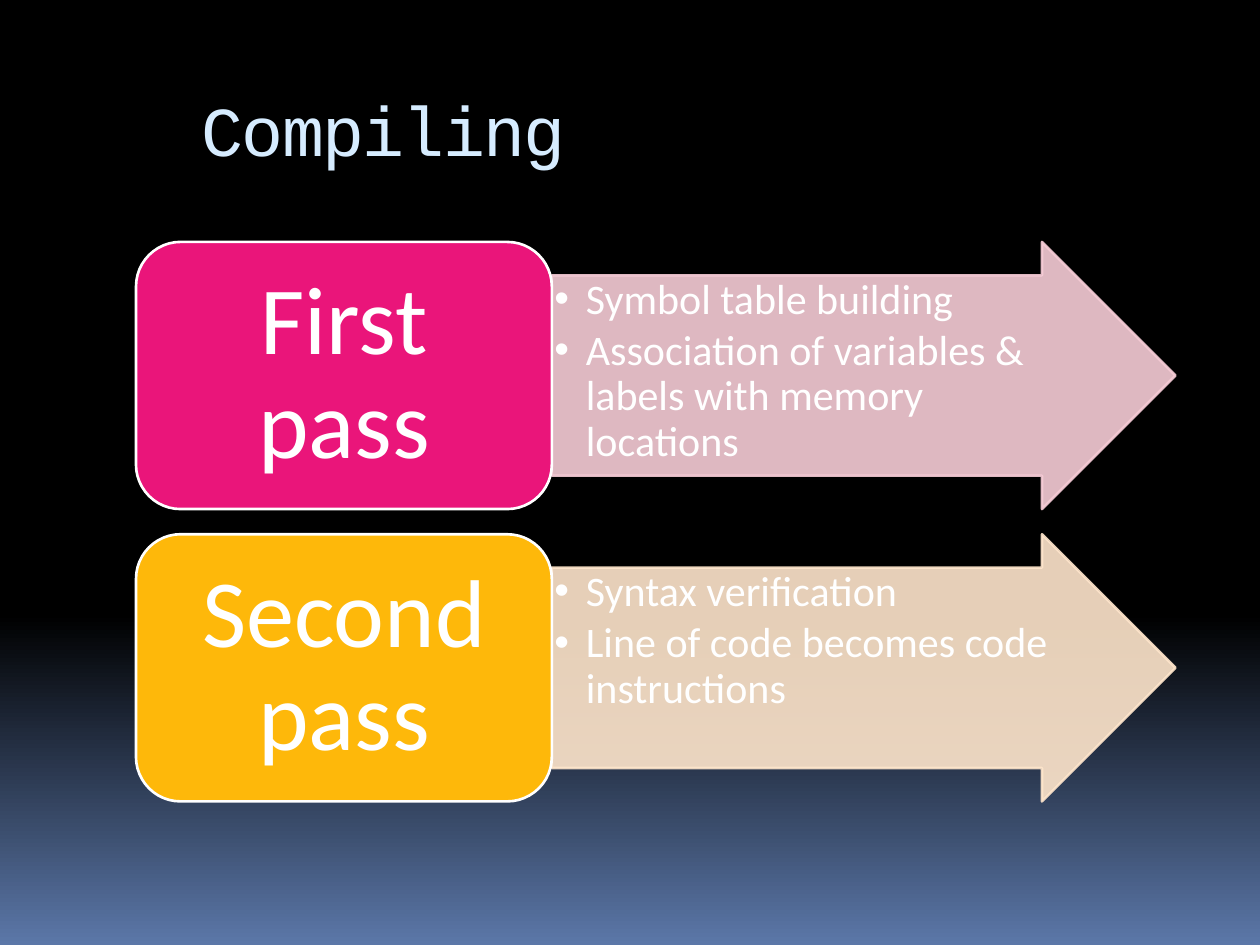
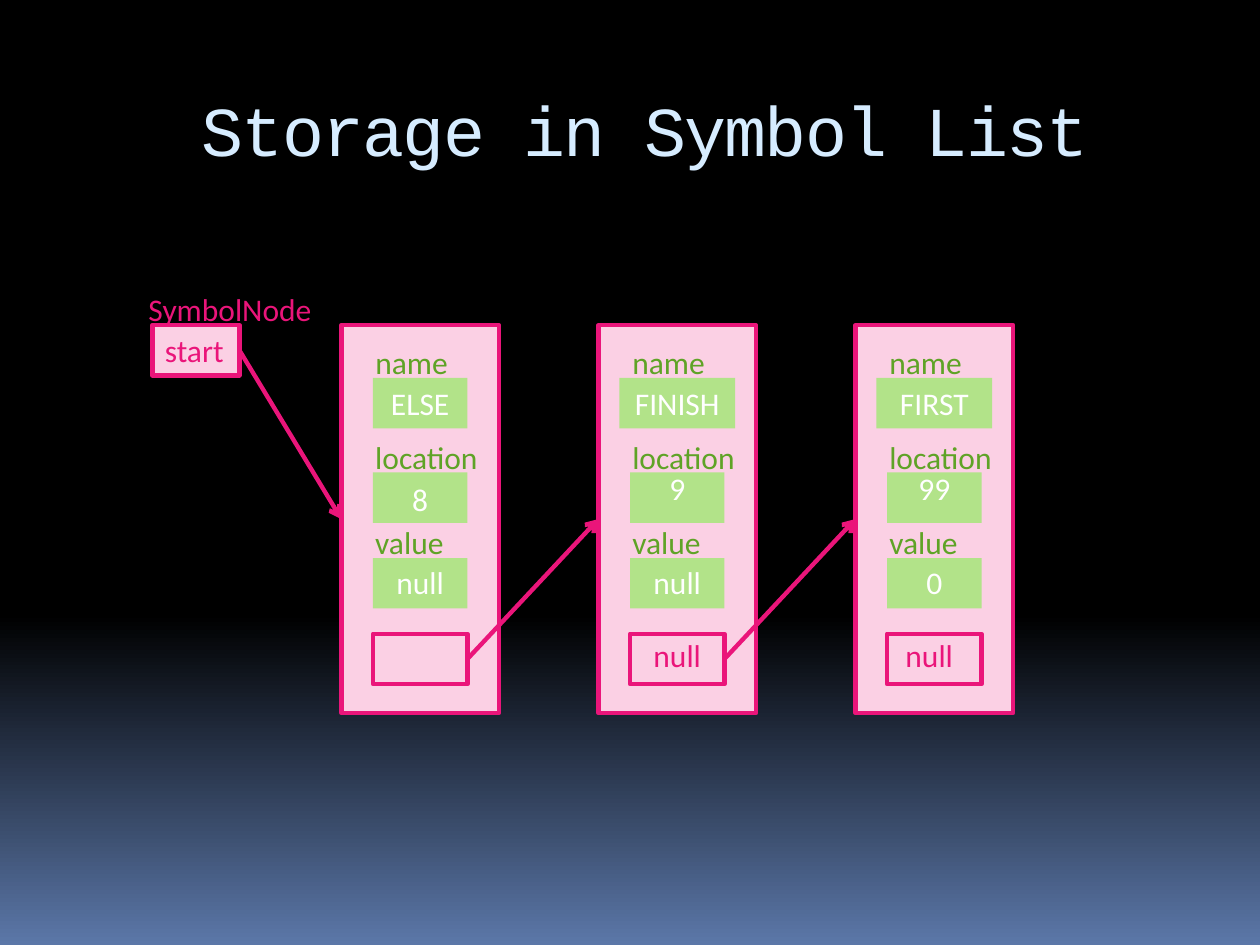
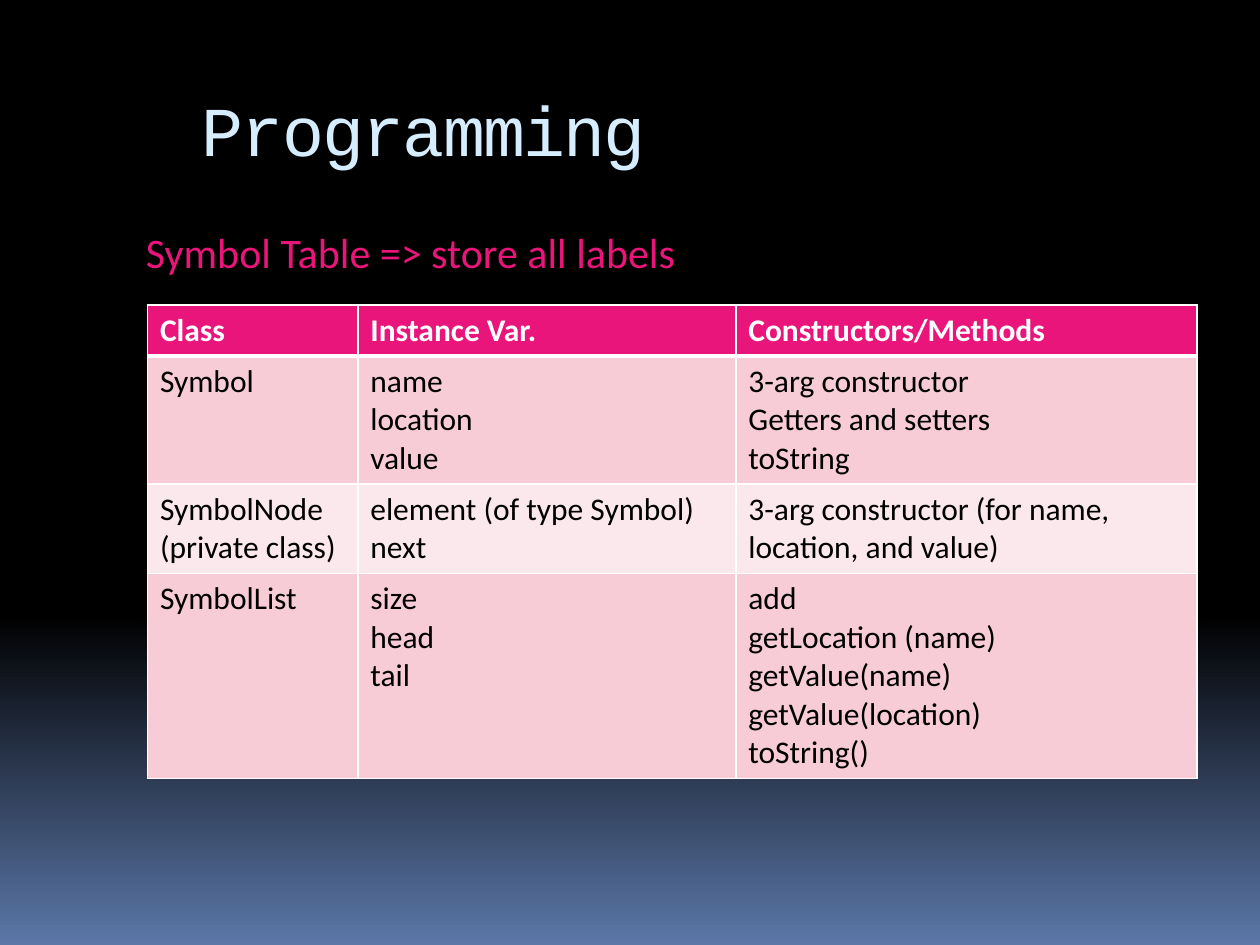
"""Build three slides on compiling: passes, a linked symbol list and its classes."""
from copy import deepcopy
from dataclasses import dataclass

from lxml.etree import SubElement
from pptx import Presentation
from pptx.dml.color import RGBColor
from pptx.enum.shapes import MSO_CONNECTOR as Line, MSO_SHAPE as Shape
from pptx.enum.text import MSO_ANCHOR as Anchor, MSO_AUTO_SIZE as Fit, PP_ALIGN as Align
from pptx.oxml.ns import qn
from pptx.util import Inches, Pt


@dataclass(frozen=True)
class Theme:
    """Colours, fonts and type sizes shared by the slides."""
    black: str = "000000"
    white: str = "FFFFFF"
    dusk: str = "5B77A8"
    sky: str = "D6ECFF"
    pink: str = "EA157A"
    amber: str = "FEB80A"
    rose: str = "F7CCD7"
    blush: str = "FBE8EC"
    peach: str = "FFE6CC"
    petal: str = "FBD0E4"
    lime: str = "B2E389"
    leaf: str = "5FA326"
    title_font: str = "Courier New"
    font: str = "Calibri"
    title: int = 40
    stage: int = 55
    lead: int = 24
    body: int = 18


THEME = Theme()

PASSES = [
    ("First pass", THEME.pink, THEME.rose,
     ["Symbol table building", "Association of variables & labels with memory locations"]),
    ("Second pass", THEME.amber, THEME.peach,
     ["Syntax verification", "Line of code becomes code instructions"]),
]
PASS_LEFT, PASS_TOP, PASS_PITCH, PASS_HEIGHT = 1.08, 1.92, 2.32, 2.12
STAGE_WIDTH, ARROW_WIDTH = 3.3, 4.95

NODES = [
    {"name": "ELSE", "location": "8", "value": "null", "name_width": 0.75},
    {"name": "FINISH", "location": "9", "value": "null", "link": "null",
     "name_width": 0.92, "lift": 0.09},
    {"name": "FIRST", "location": "99", "value": "0", "link": "null",
     "name_width": 0.92, "lift": 0.09, "link_shift": -0.04},
]
FIELDS = [
    ("name", 2.67, 0.79, 3.0, 3.0),
    ("location", 3.43, 1.04, 3.75, 3.76),
    ("value", 4.1, 0.76, 4.43, 4.42),
]
NODE_LEFT, NODE_TOP, NODE_PITCH = 2.71, 2.58, 2.04
NODE_WIDTH, NODE_HEIGHT = 1.25, 3.08
CELL_WIDTH, CELL_HEIGHT, LINK_TOP = 0.75, 0.4, 5.03

CLASSES = [
    (["Class"], ["Instance Var."], ["Constructors/Methods"]),
    (["Symbol"], ["name", "location", "value"],
     ["3-arg constructor", "Getters and setters", "toString"]),
    (["SymbolNode", "(private class)"], ["element (of type Symbol)", "next"],
     ["3-arg constructor (for name, location, and value)"]),
    (["SymbolList"], ["size", "head", "tail"],
     ["add", "getLocation (name)", "getValue(name)", "getValue(location)", "toString()"]),
]
COLUMNS = [1.67, 3, 3.66]
ROW_FILLS = [THEME.pink, THEME.rose, THEME.blush, THEME.rose]


def rgb(code):
    """Turn a hex code into a colour."""
    return RGBColor.from_string(code)


def write(frame, lines, size=THEME.body, color=THEME.white, font=THEME.font, bold=False,
          align=Align.LEFT, spacing=None, after=None, level=0):
    """Fill a text frame with one paragraph per line."""
    for index, line in enumerate(lines):
        para = frame.add_paragraph() if index else frame.paragraphs[0]
        para.alignment, para.level = align, level
        if spacing:
            para.line_spacing = spacing
        if after:
            para.space_after = Pt(after)
        span = para.add_run()
        span.text = line
        span.font.name, span.font.size, span.font.bold = font, Pt(size), bold
        span.font.color.rgb = rgb(color)


def add_text(page, lines, left, top, width, height, wrap=False, anchor=Anchor.TOP,
             insets=(0.1, 0.05), **style):
    """Add a text box and write its lines."""
    box = page.shapes.add_textbox(*map(Inches, (left, top, width, height)))
    frame = box.text_frame
    frame.word_wrap, frame.vertical_anchor = wrap, anchor
    frame.auto_size = Fit.NONE if wrap else Fit.SHAPE_TO_FIT_TEXT
    frame.margin_left = frame.margin_right = Inches(insets[0])
    frame.margin_top = frame.margin_bottom = Inches(insets[1])
    write(frame, lines, **style)
    return box


def add_box(page, left, top, width, height, fill, line=None, weight=2.5, kind=Shape.RECTANGLE):
    """Add a flat preset shape."""
    box = page.shapes.add_shape(kind, *map(Inches, (left, top, width, height)))
    box.shadow.inherit = False
    box.fill.solid()
    box.fill.fore_color.rgb = rgb(fill)
    if line:
        box.line.color.rgb = rgb(line)
        box.line.width = Pt(weight)
    else:
        box.line.fill.background()
    return box


def add_pointer(page, source, target):
    """Join the right side of one box to the left side of another with an arrow."""
    pointer = page.shapes.add_connector(Line.STRAIGHT, 0, 0, 0, 0)
    pointer.begin_connect(source, 3)
    pointer.end_connect(target, 1)
    pointer.line.color.rgb = rgb(THEME.pink)
    pointer.line.width = Pt(2.5)
    outline = pointer.element.xpath("./p:spPr/a:ln")[0]
    SubElement(outline, qn("a:tailEnd"), type="arrow")
    SubElement(outline.getparent(), qn("a:effectLst"))


def paint_background(deck):
    """Give every slide the black to blue gradient through the master."""
    master = deck.slide_master
    fill = master.background.fill
    fill.gradient()
    fill.gradient_angle = 270
    stops = master.element.xpath(".//p:bg//a:gsLst")[0]
    stops.insert(0, deepcopy(stops[0]))
    shades = [(0, THEME.black), (0.65, THEME.black), (1, THEME.dusk)]
    for stop, (position, color) in zip(fill.gradient_stops, shades):
        stop.position = position
        stop.color.rgb = rgb(color)


def add_page(deck, heading):
    """Add a title-only slide with the shared title style."""
    page = deck.slides.add_slide(deck.slide_layouts[5])
    title = page.shapes.title
    title.left, title.top, title.width, title.height = map(Inches, (1.5, 0.56, 8.5, 1))
    title.text_frame.auto_size = Fit.NONE
    title.text_frame.vertical_anchor = Anchor.MIDDLE
    write(title.text_frame, [heading], size=THEME.title, color=THEME.sky,
          font=THEME.title_font, spacing=0.9)
    title.element.xpath(".//a:rPr")[0].set("spc", "-100")
    return page


def add_pass(page, top, name, fill, tint, steps):
    """Draw one compiler pass with the arrow that lists its steps."""
    arrow_left = PASS_LEFT + STAGE_WIDTH
    arrow = add_box(page, arrow_left, top, ARROW_WIDTH, PASS_HEIGHT, tint, tint, 1.5,
                    Shape.RIGHT_ARROW)
    arrow.adjustments[0], arrow.adjustments[1] = 0.75, 0.5
    for color in arrow.element.xpath("./p:spPr//a:srgbClr"):
        SubElement(color, qn("a:alpha"), val="90000")
    edge = PASS_HEIGHT / 8
    notes = add_text(page, steps, arrow_left, top + edge,
                     ARROW_WIDTH - PASS_HEIGHT / 2 + edge, PASS_HEIGHT - 2 * edge, wrap=True,
                     insets=(0.02, 0.02), size=THEME.lead, spacing=0.9, after=3.5, level=1)
    for props in notes.element.xpath(".//a:pPr"):
        props.set("marL", str(Inches(0.25)))
        props.set("indent", str(-Inches(0.25)))
        SubElement(props, qn("a:buFont"), typeface="Arial")
        SubElement(props, qn("a:buChar"), char="•")
    add_box(page, PASS_LEFT, top, STAGE_WIDTH, PASS_HEIGHT, fill, THEME.white, 1.5,
            Shape.ROUNDED_RECTANGLE)
    add_text(page, [name], PASS_LEFT + 0.1, top + 0.1, STAGE_WIDTH - 0.2, PASS_HEIGHT - 0.2,
             wrap=True, anchor=Anchor.MIDDLE, insets=(0.23, 0.11), size=THEME.stage,
             align=Align.CENTER, spacing=0.9)


def add_node(page, left, node):
    """Draw one list node and return its frame and its link cell."""
    middle = left + NODE_WIDTH / 2
    cell_left = middle - CELL_WIDTH / 2
    body = add_box(page, left, NODE_TOP, NODE_WIDTH, NODE_HEIGHT, THEME.petal, THEME.pink)
    link = add_box(page, cell_left, LINK_TOP, CELL_WIDTH, CELL_HEIGHT, THEME.petal, THEME.pink)
    for field, label_top, label_width, cell_top, text_top in FIELDS:
        width = node["name_width"] if field == "name" else CELL_WIDTH
        lift = node.get("lift", 0) if field == "location" else 0
        add_box(page, middle - width / 2, cell_top, width, CELL_HEIGHT, THEME.lime)
        add_text(page, [field], left + 0.17, label_top, label_width, CELL_HEIGHT,
                 color=THEME.leaf)
        add_text(page, [node[field]], middle - width / 2, text_top - lift, width, CELL_HEIGHT,
                 align=Align.CENTER)
    if "link" in node:
        add_text(page, [node["link"]], cell_left + node.get("link_shift", 0), 5, CELL_WIDTH,
                 CELL_HEIGHT, color=THEME.pink, align=Align.CENTER)
    return body, link


def add_symbol_list(page):
    """Draw the start reference, the nodes and the pointers between them."""
    start = add_box(page, 1.21, NODE_TOP, 0.69, CELL_HEIGHT, THEME.petal, THEME.pink)
    start.text_frame.word_wrap = False
    start.text_frame.vertical_anchor = Anchor.TOP
    write(start.text_frame, ["start"], color=THEME.pink)
    add_text(page, ["SymbolNode"], 1.08, 2.25, 1.57, CELL_HEIGHT, color=THEME.pink)
    parts = [add_node(page, NODE_LEFT + index * NODE_PITCH, node)
             for index, node in enumerate(NODES)]
    sources = [start] + [link for body, link in parts]
    for source, (body, link) in zip(sources, parts):
        add_pointer(page, source, body)


def add_class_table(page):
    """Draw the table of classes with white rules."""
    heights = [0.1 + 0.305 * max(map(len, row)) for row in CLASSES]
    holder = page.shapes.add_table(len(CLASSES), len(COLUMNS), Inches(1.17), Inches(2.42),
                                   Inches(sum(COLUMNS)), Inches(sum(heights)))
    table = holder.table
    for column, width in zip(table.columns, COLUMNS):
        column.width = Inches(width)
    for index, row in enumerate(CLASSES):
        header = index == 0
        table.rows[index].height = Inches(heights[index])
        for column, lines in enumerate(row):
            cell = table.cell(index, column)
            cell.fill.solid()
            cell.fill.fore_color.rgb = rgb(ROW_FILLS[index])
            write(cell.text_frame, lines, bold=header,
                  color=THEME.white if header else THEME.black)
    for index, row in enumerate(holder.element.xpath(".//a:tr")):
        for props in row.xpath(".//a:tcPr"):
            for place, side in enumerate("LRTB"):
                weight = 3 if (index, side) in ((0, "B"), (1, "T")) else 1
                rule = SubElement(props, qn(f"a:ln{side}"), w=str(Pt(weight)))
                SubElement(SubElement(rule, qn("a:solidFill")), qn("a:srgbClr"),
                           val=THEME.white)
                props.insert(place, rule)


def main():
    """Build the deck and save it."""
    deck = Presentation()
    deck.slide_width, deck.slide_height = Inches(10), Inches(7.5)
    paint_background(deck)

    page = add_page(deck, "Compiling")
    for index, stage in enumerate(PASSES):
        add_pass(page, PASS_TOP + index * PASS_PITCH, *stage)

    add_symbol_list(add_page(deck, "Storage in Symbol List"))

    page = add_page(deck, "Programming")
    add_class_table(page)
    add_text(page, ["Symbol Table => store all labels"], 1.06, 1.75, 4.52, 0.5,
             size=THEME.lead, color=THEME.pink)

    deck.save("out.pptx")


if __name__ == "__main__":
    main()
